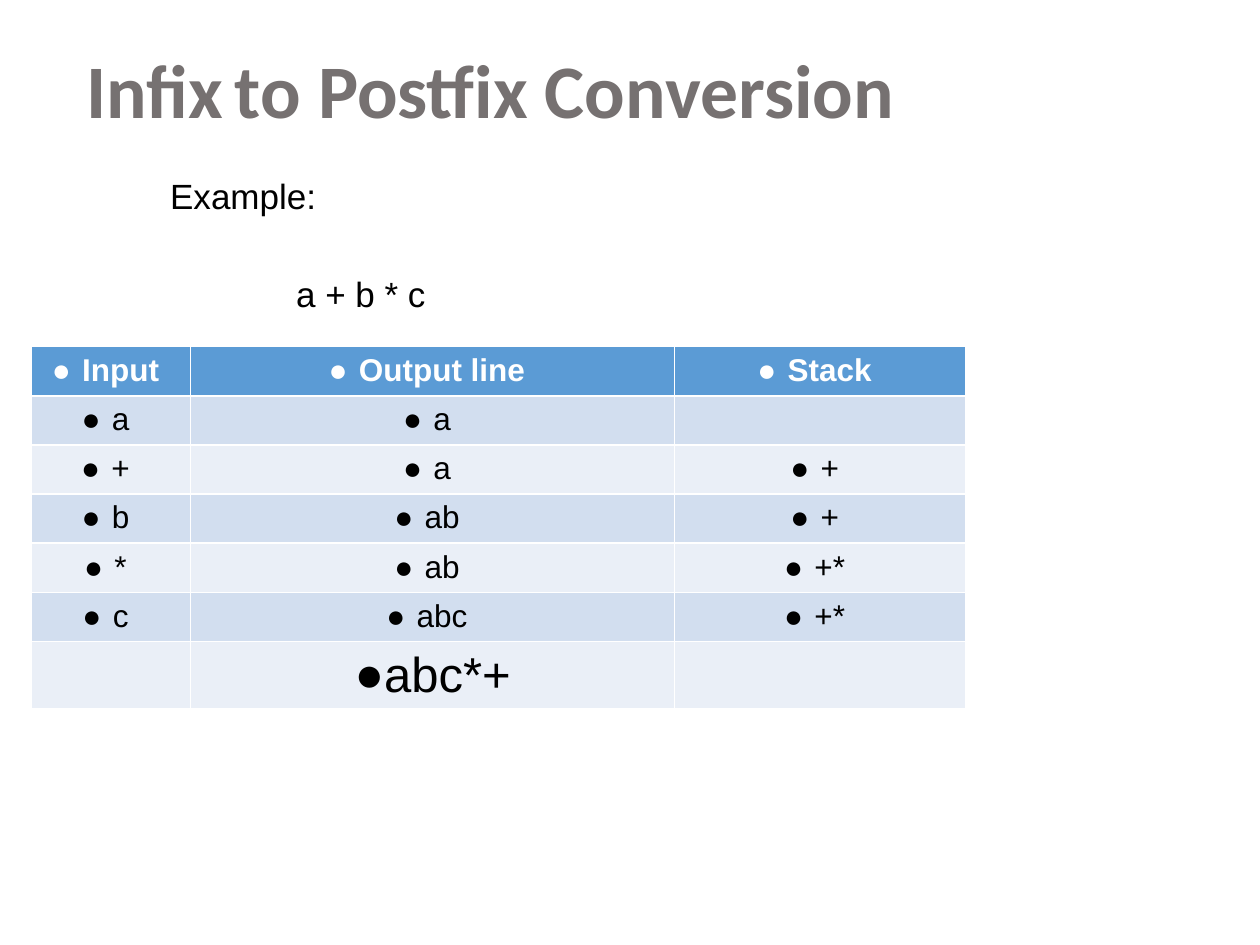
from typing import NamedTuple

from lxml import etree
from pptx import Presentation
from pptx.dml.color import RGBColor
from pptx.enum.text import MSO_ANCHOR, MSO_AUTO_SIZE, PP_ALIGN
from pptx.oxml.ns import qn
from pptx.util import Cm, Pt

CENTER, LEFT = PP_ALIGN.CENTER, PP_ALIGN.LEFT
MIDDLE = MSO_ANCHOR.MIDDLE
NO_AUTOFIT = MSO_AUTO_SIZE.NONE
BLACK, WHITE, GRAY = "000000", "FFFFFF", "767171"
HEADER_FILL, BAND_FILLS = "5B9BD5", ("D2DEEF", "EAEFF7")


class RunStyle(NamedTuple):
    size: float
    color: str = BLACK
    bold: bool = False
    font: str = "Arial"


class CellStyle(NamedTuple):
    run: RunStyle
    margin: float = 0.38
    indent: float = -0.61


class Step(NamedTuple):
    symbol: str
    output: str
    stack: str


HEADER = Step("Input", "Output line", "Stack")
STEPS = [
    Step("a", "a", ""),
    Step("+", "a", "+"),
    Step("b", "ab", "+"),
    Step("*", "ab", "+*"),
    Step("c", "abc", "+*"),
    Step("", "abc*+", ""),
]
COLUMN_WIDTHS = (3.2, 9.76, 5.87)
ROW_HEIGHT = 0.99
HEADER_STYLE = CellStyle(RunStyle(18, WHITE, True))
STEP_STYLE = CellStyle(RunStyle(18))
RESULT_STYLE = CellStyle(RunStyle(28), 0, 0)


def rgb(color: str) -> RGBColor:
    return RGBColor.from_string(color)


def add_run(paragraph, text: str, style: RunStyle) -> None:
    run = paragraph.add_run()
    run.text = text
    run.font.name = style.font
    run.font.size = Pt(style.size)
    run.font.bold = style.bold
    run.font.color.rgb = rgb(style.color)


def add_bullet(paragraph, style: CellStyle) -> None:
    properties = paragraph._p.get_or_add_pPr()
    properties.set("marL", str(Cm(style.margin)))
    properties.set("indent", str(Cm(style.indent)))
    color = etree.SubElement(properties, qn("a:buClr"))
    etree.SubElement(color, qn("a:srgbClr"), val=style.run.color)
    etree.SubElement(properties, qn("a:buSzPct"), val="100000")
    etree.SubElement(properties, qn("a:buFont"), typeface="Arial")
    etree.SubElement(properties, qn("a:buChar"), char="●")


def add_tab_stop(paragraph, position: float) -> None:
    tabs = etree.SubElement(paragraph._p.get_or_add_pPr(), qn("a:tabLst"))
    etree.SubElement(tabs, qn("a:tab"), pos=str(Cm(position)), algn="l")


def fill_cell(cell, text: str, style: CellStyle, fill: str) -> None:
    cell.fill.solid()
    cell.fill.fore_color.rgb = rgb(fill)
    cell.margin_bottom = Cm(0.05)
    if not text:
        return
    paragraph = cell.text_frame.paragraphs[0]
    paragraph.alignment = CENTER
    add_bullet(paragraph, style)
    add_run(paragraph, text, style.run)


def add_title(slide) -> None:
    title = slide.shapes.title
    title.left, title.top, title.width, title.height = Cm(1.49), Cm(1.05), Cm(21.79), Cm(1.7)
    frame = title.text_frame
    frame.auto_size = NO_AUTOFIT
    frame.vertical_anchor = MIDDLE
    paragraph = frame.paragraphs[0]
    paragraph.alignment = LEFT
    paragraph.line_spacing = 0.9
    heading = RunStyle(43.2, GRAY, True, "Calibri")
    add_run(paragraph, "Infix", heading)
    add_run(paragraph, " ", RunStyle(28.8, font="Calibri"))
    add_run(paragraph, "to Postfix Conversion", heading)


def add_example(slide) -> None:
    frame = slide.shapes.add_textbox(Cm(3.18), Cm(3.39), Cm(10.16), Cm(3.18)).text_frame
    frame.word_wrap = True
    label, expression = frame.paragraphs[0], frame.add_paragraph()
    label.space_before = Pt(4)
    expression.space_before = Pt(32)
    add_tab_stop(expression, 2.54)
    add_run(label, "Example:", RunStyle(20))
    add_run(expression, "\ta + b * c", RunStyle(20))


def add_conversion_table(slide) -> None:
    row_count = len(STEPS) + 1
    table = slide.shapes.add_table(
        row_count, len(COLUMN_WIDTHS), Cm(0.64), Cm(6.99),
        Cm(sum(COLUMN_WIDTHS)), Cm(ROW_HEIGHT * row_count),
    ).table
    for column, width in zip(table.columns, COLUMN_WIDTHS):
        column.width = Cm(width)
    for row in table.rows:
        row.height = Cm(ROW_HEIGHT)
    for cell, text in zip(table.rows[0].cells, HEADER):
        fill_cell(cell, text, HEADER_STYLE, HEADER_FILL)
    for index, step in enumerate(STEPS):
        style = RESULT_STYLE if step is STEPS[-1] else STEP_STYLE
        for cell, text in zip(table.rows[index + 1].cells, step):
            fill_cell(cell, text, style, BAND_FILLS[index % 2])


def main() -> None:
    presentation = Presentation()
    presentation.slide_width, presentation.slide_height = Cm(25.4), Cm(19.05)
    slide = presentation.slides.add_slide(presentation.slide_layouts[5])
    add_title(slide)
    add_example(slide)
    add_conversion_table(slide)
    presentation.save("out.pptx")


if __name__ == "__main__":
    main()
